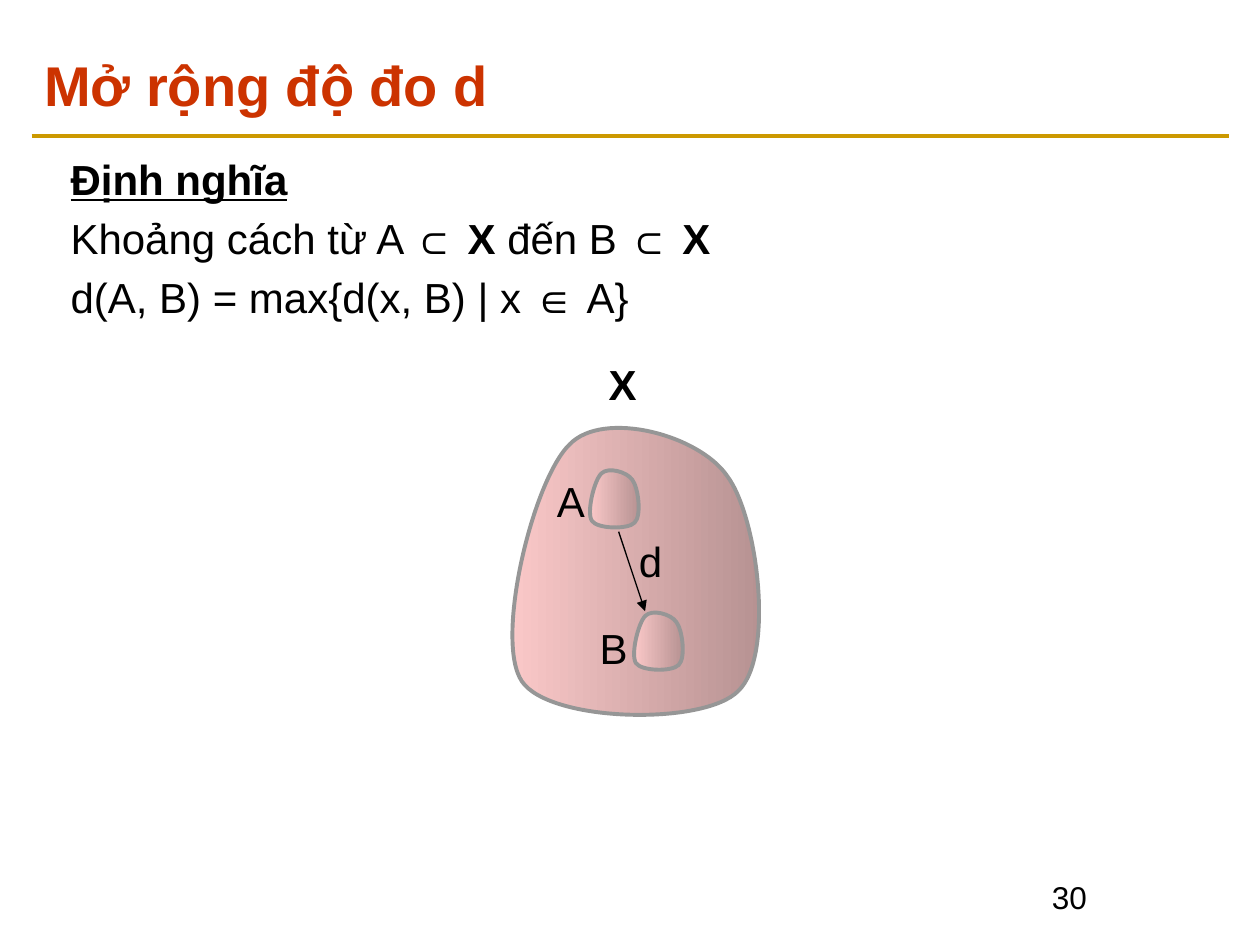
"""Build a slide that defines the distance between two subsets of X."""
import dataclasses
import typing

import lxml.etree
import pptx
import pptx.dml.color
import pptx.enum.shapes
import pptx.enum.text
import pptx.oxml.ns
import pptx.util

COLS = 100
FONT = "Arial"
BLACK = "000000"
SCALE = 1000
START = (0.27, 0.11)
CURVES = [
    [(0.39, 0), (0.73, 0.08), (0.83, 0.21)],
    [(0.94, 0.34), (1, 0.78), (0.87, 0.89)],
    [(0.75, 1), (0.2, 0.99), (0.1, 0.86)],
    [(0, 0.73), (0.14, 0.22), START],
]

deck = pptx.Presentation()
deck.slide_width = pptx.util.Inches(10)
deck.slide_height = pptx.util.Inches(7.5)
CELL = deck.slide_width / COLS
slide = deck.slides.add_slide(deck.slide_layouts[1])
shapes = slide.shapes


@dataclasses.dataclass
class Box:
    left: float
    top: float
    width: float
    height: float

    def emu(self) -> list[int]:
        return [round(side * CELL) for side in dataclasses.astuple(self)]


@dataclasses.dataclass
class Label:
    text: str
    box: Box
    bold: bool = False


class Run(typing.NamedTuple):
    text: str
    bold: bool = False
    under: bool = False


def color(code: str) -> pptx.dml.color.RGBColor:
    return pptx.dml.color.RGBColor.from_string(code)


def write(frame, paras: list[list[Run]], size: float = 24, ink: str = BLACK,
          gap: float = 0, inset: float | None = None, wrap: bool = True,
          anchor=pptx.enum.text.MSO_ANCHOR.TOP) -> None:
    frame.word_wrap = wrap
    frame.auto_size = pptx.enum.text.MSO_AUTO_SIZE.NONE
    frame.vertical_anchor = anchor
    if inset is not None:
        frame.margin_left = frame.margin_right = pptx.util.Inches(inset)
        frame.margin_top = frame.margin_bottom = pptx.util.Inches(inset)
    for rank, runs in enumerate(paras):
        para = frame.add_paragraph() if rank else frame.paragraphs[0]
        props = para._p.get_or_add_pPr()
        props.set("marL", "0")
        props.set("indent", "0")
        lxml.etree.SubElement(props, pptx.oxml.ns.qn("a:buNone"))
        para.alignment = pptx.enum.text.PP_ALIGN.LEFT
        para.space_before = pptx.util.Pt(gap if rank else 0)
        for item in runs:
            run = para.add_run()
            run.text = item.text
            font = run.font
            font.name, font.size = FONT, pptx.util.Pt(size)
            font.bold, font.underline = item.bold, item.under
            font.color.rgb = color(ink)


def place(holder, box: Box) -> None:
    holder.left, holder.top, holder.width, holder.height = box.emu()


def draw_text(label: Label, **form) -> None:
    area = shapes.add_textbox(*label.box.emu())
    write(area.text_frame, [[Run(label.text, label.bold)]], **form)


def draw_line(start: tuple, end: tuple, ink: str, width: float,
              arrow: bool = False) -> None:
    ends = [round(side * CELL) for side in (*start, *end)]
    line = shapes.add_connector(
        pptx.enum.shapes.MSO_CONNECTOR.STRAIGHT, *ends)
    line.line.color.rgb = color(ink)
    line.line.width = pptx.util.Pt(width)
    if arrow:
        lxml.etree.SubElement(line.line._get_or_add_ln(),
                              pptx.oxml.ns.qn("a:tailEnd"), type="triangle")
    lxml.etree.SubElement(line._element.spPr, pptx.oxml.ns.qn("a:effectLst"))


def bend(blob) -> None:
    legs = list(blob._element.iter(pptx.oxml.ns.qn("a:lnTo")))
    for first in range(0, len(legs), 3):
        group = legs[first:first + 3]
        curve = lxml.etree.Element(pptx.oxml.ns.qn("a:cubicBezTo"))
        group[0].addprevious(curve)
        for leg in group:
            curve.append(leg[0])
            leg.getparent().remove(leg)


def draw_set(box: Box) -> None:
    left, top, width, height = box.emu()
    dots = [(x * SCALE, y * SCALE)
            for x, y in [START, *(dot for curve in CURVES for dot in curve)]]
    pen = shapes.build_freeform(*dots[0], scale=(width / SCALE, height / SCALE))
    pen.add_line_segments(dots[1:], close=True)
    blob = pen.convert_to_shape(left, top)
    bend(blob)
    blob.shadow.inherit = False
    blob.fill.gradient()
    blob.fill.gradient_angle = 180
    for stop, code in zip(blob.fill.gradient_stops, ("B38F8F", "FFCCCC")):
        stop.color.rgb = color(code)
    blob.line.color.rgb = color("969696")
    blob.line.width = pptx.util.Pt(2.25)


def main() -> None:
    draw_line((2.5, 10.83), (97.5, 10.83), "CC9900", 2.25)
    draw_text(Label("30", Box(82.5, 69.2, 15, 5)), size=18)
    title, body = slide.placeholders
    place(title, Box(2.5, 3.3, 95, 6.7))
    write(title.text_frame, [[Run("Mở rộng độ đo d", bold=True)]], size=32,
          ink="CC3300", anchor=pptx.enum.text.MSO_ANCHOR.MIDDLE)
    place(body, Box(4.6, 11.7, 91, 57.5))
    write(body.text_frame, [
        [Run("Định nghĩa", bold=True, under=True)],
        [Run("Khoảng cách từ A ⊂ "), Run("X", bold=True),
         Run(" đến B ⊂ "), Run("X", bold=True)],
        [Run("d(A, B) = max{d(x, B) | x "), Run("∈ ", bold=True), Run("A}")],
    ], gap=4.8)

    for box in (Box(39.2, 32.5, 22.3, 25.1), Box(50.04, 48.33, 4.4, 5),
                Box(46.54, 37.04, 4.4, 5)):
        draw_set(box)
    draw_line((49.1, 42.2), (51.2, 48.5), BLACK, 0.75, arrow=True)
    for label in (Label("X", Box(48.3, 28.44, 2.2, 4), bold=True),
                  Label("A", Box(44.2, 37.74, 2.2, 4)),
                  Label("B", Box(47.6, 49.4, 2.2, 4)),
                  Label("d", Box(50.7, 42.5, 1.9, 4))):
        draw_text(label, inset=0, wrap=False)
    deck.save("out.pptx")


if __name__ == "__main__":
    main()
